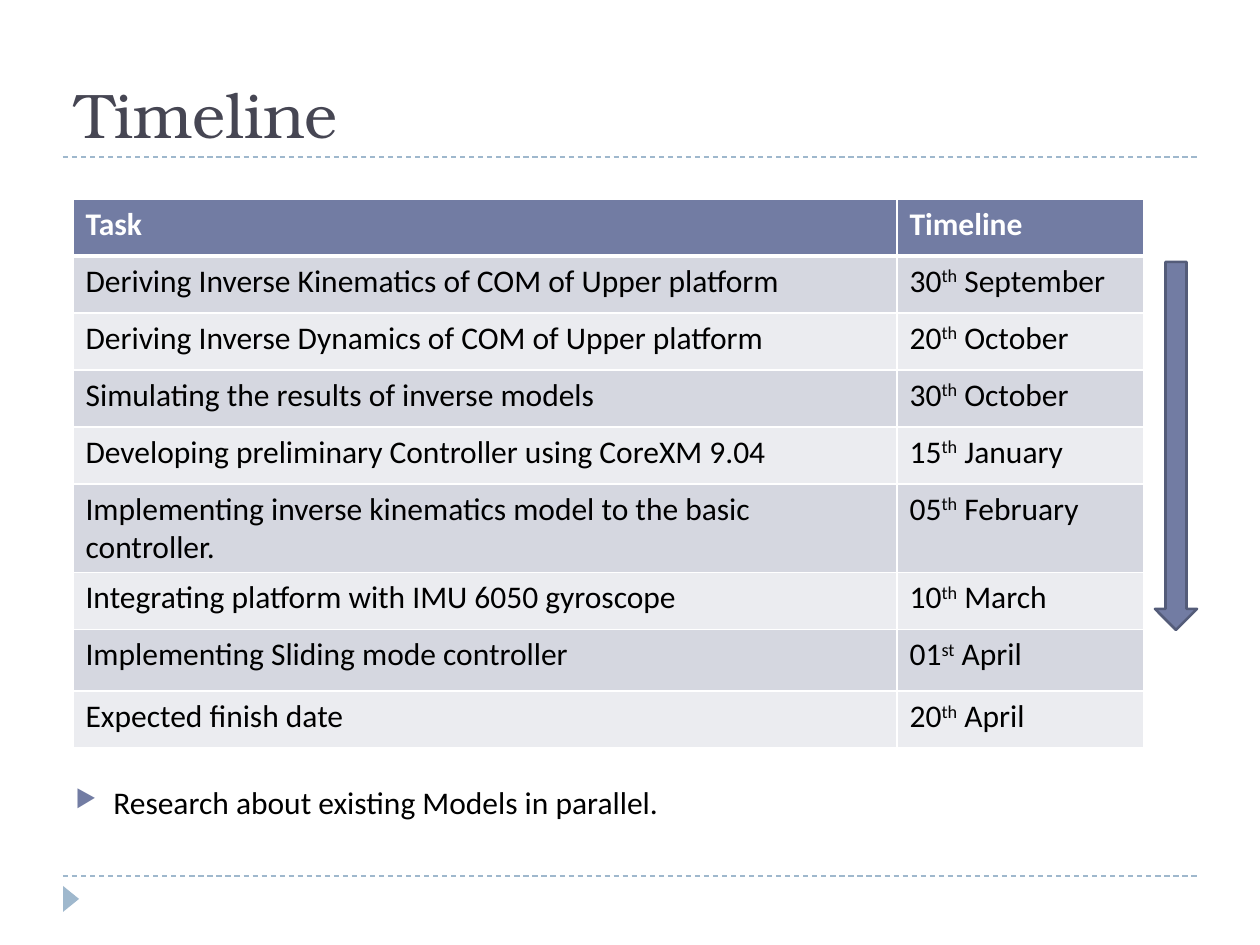
from lxml.etree import SubElement
from pptx import Presentation
from pptx.dml.color import RGBColor
from pptx.enum.dml import MSO_LINE
from pptx.enum.shapes import MSO_CONNECTOR, MSO_SHAPE
from pptx.enum.text import MSO_ANCHOR, PP_ALIGN
from pptx.oxml.ns import qn
from pptx.util import Emu, Pt

SCALE = 914400 // 126
SANS = "Calibri"
SERIF = "TeX Gyre Bonum"
WHITE = RGBColor(0xFF, 0xFF, 0xFF)
BLACK = RGBColor(0x00, 0x00, 0x00)
INK = RGBColor(0x46, 0x46, 0x53)
SKY = RGBColor(0x9F, 0xB8, 0xCD)
SLATE = RGBColor(0x72, 0x7C, 0xA3)
EDGE = RGBColor(0x54, 0x5C, 0x79)
BANDS = RGBColor(0xEB, 0xEC, 0xF0), RGBColor(0xD5, 0xD7, 0xE0)

TASKS = [
    ("Deriving Inverse Kinematics of COM of Upper platform", "30", "th", " September"),
    ("Deriving Inverse Dynamics of COM of Upper platform", "20", "th", " October"),
    ("Simulating the results of inverse models", "30", "th", " October"),
    ("Developing preliminary Controller using CoreXM 9.04", "15", "th", " January"),
    ("Implementing inverse kinematics model to the basic controller.", "05", "th", " February"),
    ("Integrating platform with IMU 6050 gyroscope", "10", "th", " March"),
    ("Implementing Sliding mode controller", "01", "st", " April"),
    ("Expected finish date", "20", "th", " April"),
]


def px(n):
    return Emu(n * SCALE)


def add_run(para, text, size=18, color=BLACK, face=SANS, bold=False, base=0):
    run = para.add_run()
    run.text = text
    font = run.font
    font.name, font.size, font.bold = face, Pt(size), bold
    font.color.rgb = color
    if base:
        font._element.set("baseline", str(base * 1000))


def add_text(slide, x, y, w, h, anchor=MSO_ANCHOR.TOP):
    frame = slide.shapes.add_textbox(px(x), px(y), px(w), px(h)).text_frame
    frame.word_wrap = True
    frame.vertical_anchor = anchor
    return frame.paragraphs[0]


def add_bullet(para):
    para.alignment = PP_ALIGN.JUSTIFY
    para.space_before = Pt(6)
    props = para._p.get_or_add_pPr()
    props.set("marL", str(px(38)))
    props.set("indent", str(px(-38)))
    tint = SubElement(props, qn("a:buClr"))
    SubElement(tint, qn("a:srgbClr"), val=str(SLATE))
    SubElement(props, qn("a:buSzPct"), val="76000")
    SubElement(props, qn("a:buChar"), char="▶")


def add_rule(slide, y):
    rule = slide.shapes.add_connector(MSO_CONNECTOR.STRAIGHT, px(63), px(y), px(1197), px(y))
    rule.line.color.rgb = SKY
    rule.line.width = Pt(0.75)
    rule.line.dash_style = MSO_LINE.DASH
    SubElement(rule._element.spPr, qn("a:effectLst"))


def add_shape(slide, kind, x, y, w, h, fill, edge=None, turn=0):
    shape = slide.shapes.add_shape(kind, px(x), px(y), px(w), px(h))
    shape.shadow.inherit = False
    shape.rotation = turn
    shape.fill.solid()
    shape.fill.fore_color.rgb = fill
    if edge is None:
        shape.line.fill.background()
    else:
        shape.line.color.rgb = edge
        shape.line.width = Pt(1.5)


def style_cell(cell, fill, top=1, base=1):
    props = cell._tc.get_or_add_tcPr()
    for side, width in zip("LRTB", (1, 1, top, base)):
        line = SubElement(props, qn(f"a:ln{side}"), w=str(Pt(width)))
        paint = SubElement(line, qn("a:solidFill"))
        SubElement(paint, qn("a:srgbClr"), val=str(WHITE))
    cell.fill.solid()
    cell.fill.fore_color.rgb = fill


def add_table(slide):
    count = len(TASKS) + 1
    table = slide.shapes.add_table(count, 2, px(73), px(199), px(1071), px(57 * count + 5)).table
    for col, width in zip(table.columns, (824, 247)):
        col.width = px(width)
    for row in table.rows:
        row.height = px(57)
    table.rows[count - 2].height = px(62)

    for col, label in enumerate(("Task", "Timeline")):
        cell = table.cell(0, col)
        style_cell(cell, SLATE, base=3)
        add_run(cell.text_frame.paragraphs[0], label, color=WHITE, bold=True)

    for row, (task, day, suffix, month) in enumerate(TASKS, 1):
        left, right = table.cell(row, 0), table.cell(row, 1)
        for cell in (left, right):
            style_cell(cell, BANDS[row % 2], top=3 if row == 1 else 1)
        add_run(left.text_frame.paragraphs[0], task)
        date = right.text_frame.paragraphs[0]
        add_run(date, day)
        add_run(date, suffix, base=30)
        add_run(date, month)


def main():
    deck = Presentation()
    deck.slide_width, deck.slide_height = px(1260), px(945)
    slide = deck.slides.add_slide(deck.slide_layouts[6])
    for y in (876, 157):
        add_rule(slide, y)
    add_shape(slide, MSO_SHAPE.ISOSCELES_TRIANGLE, 58, 891, 26, 16, SKY, turn=90)
    title = add_text(slide, 63, 21, 1134, 136, MSO_ANCHOR.BOTTOM)
    add_run(title, "Timeline", 36, INK, SERIF)
    note = add_text(slide, 63, 777, 1134, 92)
    add_bullet(note)
    add_run(note, "Research about existing Models in parallel.")
    add_table(slide)
    add_shape(slide, MSO_SHAPE.DOWN_ARROW, 1155, 262, 42, 368, SLATE, EDGE)
    deck.save("out.pptx")


if __name__ == "__main__":
    main()
